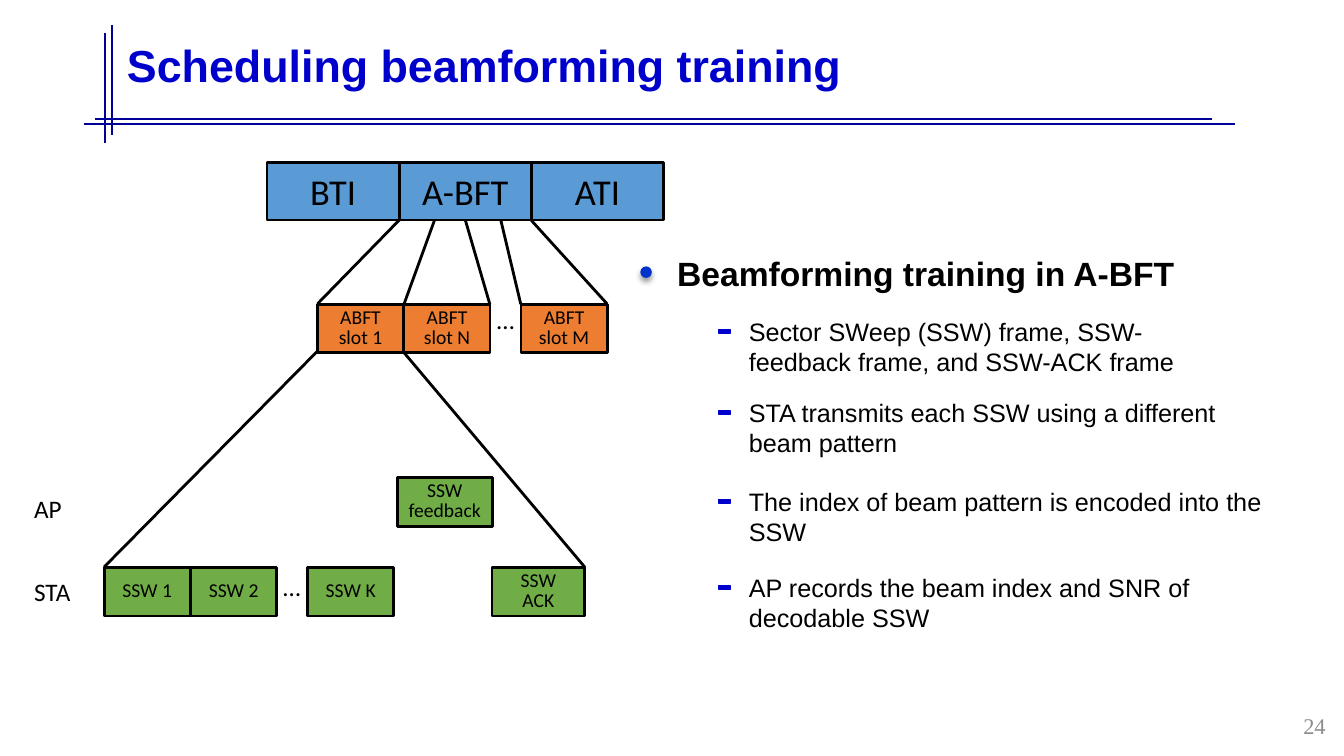
from dataclasses import dataclass
from typing import Optional

from lxml.etree import SubElement
from pptx import Presentation
from pptx.dml.color import RGBColor
from pptx.enum.shapes import MSO_CONNECTOR, MSO_SHAPE
from pptx.enum.text import MSO_ANCHOR, MSO_AUTO_SIZE, PP_ALIGN
from pptx.oxml.ns import qn
from pptx.util import Pt

COLORS = {
    "rule": "000099", "title": "0000CC", "dot": "0033CC", "black": "000000",
    "blue": "5B9BD5", "orange": "ED7D31", "green": "70AD47", "gray": "8C8C8C",
}


@dataclass
class Box:
    text: str
    left: float
    top: float
    width: float
    height: float
    fill: str
    size: float = 14
    spacing: Optional[float] = 14


@dataclass
class Line:
    x1: float
    y1: float
    x2: float
    y2: float
    color: str = "black"
    weight: float = 2


@dataclass
class Label:
    text: str
    left: float
    top: float
    width: float
    height: float
    size: float = 18
    font: str = "Calibri"
    color: str = "black"
    bold: bool = False
    wrap: bool = False


@dataclass
class Point:
    text: str
    top: float
    width: float


def rgb(name: str) -> RGBColor:
    return RGBColor.from_string(COLORS[name])


def style(frame, size: float, font: str, color: str, bold: bool = False) -> None:
    for para in frame.paragraphs:
        for run in para.runs:
            run.font.size = Pt(size)
            run.font.name = font
            run.font.bold = bold
            run.font.color.rgb = rgb(color)


def add_block(shapes, kind, left: float, top: float, width: float, height: float,
              fill: str, edge: str, weight: float):
    shape = shapes.add_shape(kind, Pt(left), Pt(top), Pt(width), Pt(height))
    shape.shadow.inherit = False
    shape.fill.solid()
    shape.fill.fore_color.rgb = rgb(fill)
    shape.line.color.rgb = rgb(edge)
    shape.line.width = Pt(weight)
    return shape


def add_box(shapes, box: Box):
    shape = add_block(shapes, MSO_SHAPE.RECTANGLE, box.left, box.top,
                      box.width, box.height, box.fill, "black", 2)
    frame = shape.text_frame
    frame.text = box.text
    frame.word_wrap = True
    frame.vertical_anchor = MSO_ANCHOR.MIDDLE
    para = frame.paragraphs[0]
    para.alignment = PP_ALIGN.CENTER
    if box.spacing:
        para.line_spacing = Pt(box.spacing)
    style(frame, box.size, "Calibri", "black")
    return shape


def add_line(shapes, line: Line):
    link = shapes.add_connector(MSO_CONNECTOR.STRAIGHT, Pt(line.x1), Pt(line.y1),
                                Pt(line.x2), Pt(line.y2))
    link.line.color.rgb = rgb(line.color)
    link.line.width = Pt(line.weight)
    SubElement(link._element.spPr, qn("a:effectLst"))
    return link


def add_label(shapes, label: Label):
    area = shapes.add_textbox(Pt(label.left), Pt(label.top),
                              Pt(label.width), Pt(label.height))
    frame = area.text_frame
    frame.text = label.text
    frame.word_wrap = label.wrap
    frame.auto_size = MSO_AUTO_SIZE.SHAPE_TO_FIT_TEXT
    style(frame, label.size, label.font, label.color, label.bold)
    return area


def add_shadow(shape) -> None:
    effects = shape._element.spPr.find(qn("a:effectLst"))
    outer = SubElement(effects, qn("a:outerShdw"), blurRad=str(Pt(4)),
                       dist=str(Pt(3)), dir="5400000", rotWithShape="0")
    tint = SubElement(outer, qn("a:srgbClr"), val=COLORS["black"])
    SubElement(tint, qn("a:alpha"), val="40000")


def main() -> None:
    deck = Presentation()
    deck.slide_width, deck.slide_height = Pt(960), Pt(540)
    slide = deck.slides.add_slide(deck.slide_layouts[5])
    shapes = slide.shapes

    # Title and its crossed rules
    for ends in ((67.7, 85, 865.4, 85), (59.8, 88.6, 882, 88.6),
                 (74.9, 23.8, 74.9, 102.2), (79.9, 18, 79.9, 96.5)):
        add_line(shapes, Line(*ends, "rule", 1.75))
    title = shapes.title
    title.left, title.top, title.width, title.height = Pt(83.5), Pt(3.6), Pt(935.3), Pt(90)
    frame = title.text_frame
    frame.text = "Scheduling beamforming training"
    frame.auto_size = MSO_AUTO_SIZE.NONE
    frame.vertical_anchor = MSO_ANCHOR.MIDDLE
    frame.paragraphs[0].alignment = PP_ALIGN.LEFT
    frame.paragraphs[0].line_spacing = 0.9
    style(frame, 32, "Arial", "title", True)

    # Slide number
    number = add_label(shapes, Label("24", 910.8, 505.4, 43.2, 25.9, 16,
                                     "Times New Roman", "gray", wrap=True))
    number.text_frame.auto_size = MSO_AUTO_SIZE.NONE
    number.text_frame.vertical_anchor = MSO_ANCHOR.MIDDLE
    number.text_frame.paragraphs[0].alignment = PP_ALIGN.RIGHT

    # Beacon intervals
    phases = [add_box(shapes, Box(text, 190.8 + 94.4 * i, 116, 94.4, 41.2, "blue", 26, None))
              for i, text in enumerate(("BTI", "A-BFT", "ATI"))]

    # Slots and sweep frames: two adjoining boxes, a gap, then the last one
    slots = (("ABFT slot 1", "ABFT slot N", "ABFT slot M"), 226.8, 217.3, "orange")
    sweeps = (("SSW 1", "SSW 2", "SSW K"), 74.4, 405.2, "green")
    for names, left, top, fill in (slots, sweeps):
        for name, shift in zip(names, (0, 61.8, 145.4)):
            add_box(shapes, Box(name, left + shift, top, 61.5, 34.8, fill))
    add_box(shapes, Box("SSW feedback", 283.7, 341.1, 68, 34.8, "green"))
    add_box(shapes, Box("SSW\vACK", 351.4, 405.2, 66.4, 34.8, "green"))

    # Lines that open each row into the next
    for ends in ((285.2, 157.2, 226.8, 217), (310.3, 157.5, 288.7, 217),
                 (357.8, 157.5, 372, 217.3), (379.6, 157.5, 433.6, 217),
                 (226.8, 250.8, 74.4, 405), (288.7, 252, 417.8, 405.2)):
        add_line(shapes, Line(*ends))
    middle = add_line(shapes, Line(332.4, 157.2, 349.9, 217.3))
    middle.begin_connect(phases[1], 2)

    # Ellipses and row names
    for label in (Label("…", 347.8, 213.8, 27.4, 29), Label("…", 195.1, 404.6, 27.4, 29),
                  Label("AP", 17.3, 348.5, 34.6, 29), Label("STA", 17.3, 408.2, 40.3, 29)):
        add_label(shapes, label)

    # Heading with round bullet
    group = shapes.add_group_shape().shapes
    dot = add_block(group, MSO_SHAPE.OVAL, 457.9, 190.8, 7.2, 7.2, "dot", "dot", 1)
    add_shadow(dot)
    add_label(group, Label("Beamforming training in A-BFT", 476.6, 177.1, 445.7, 36,
                           24, "Arial", bold=True, wrap=True))

    # Points with dash bullets
    for point in (
        Point("Sector SWeep (SSW) frame, SSW-feedback frame, and SSW-ACK frame", 222.3, 360.7),
        Point("STA transmits each SSW using a different beam pattern", 280.2, 360.7),
        Point("The index of beam pattern is encoded into the SSW", 343.6, 411.8),
        Point("AP records the beam index and SNR of decodable SSW", 405.2, 411.8),
    ):
        group = shapes.add_group_shape().shapes
        add_block(group, MSO_SHAPE.RECTANGLE, 513.4, point.top + 13.4, 8.6, 2.2,
                  "title", "title", 1)
        add_label(group, Label(point.text, 527.8, point.top, point.width, 51,
                               18, "Arial", wrap=True))

    deck.save("out.pptx")


if __name__ == "__main__":
    main()
